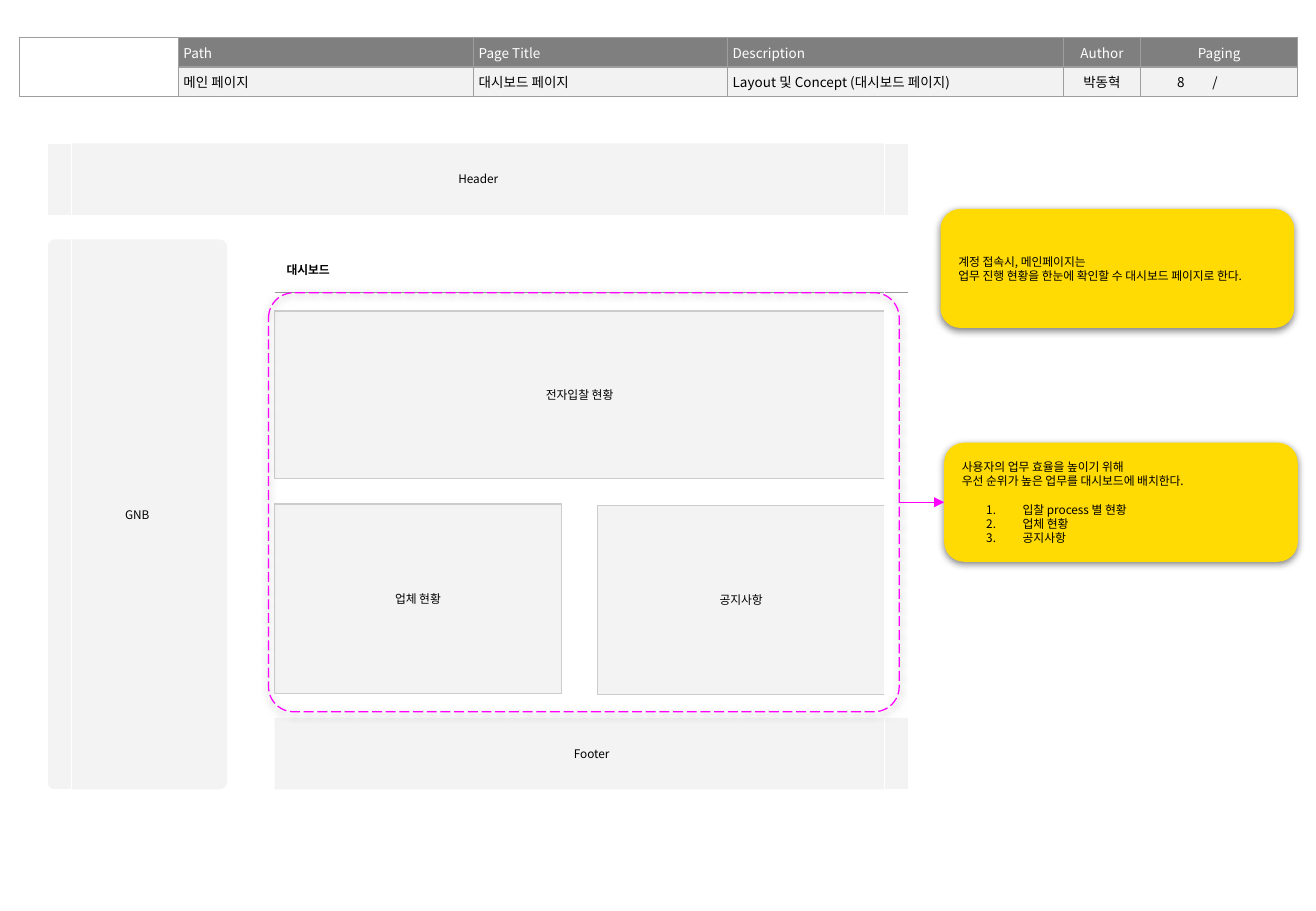
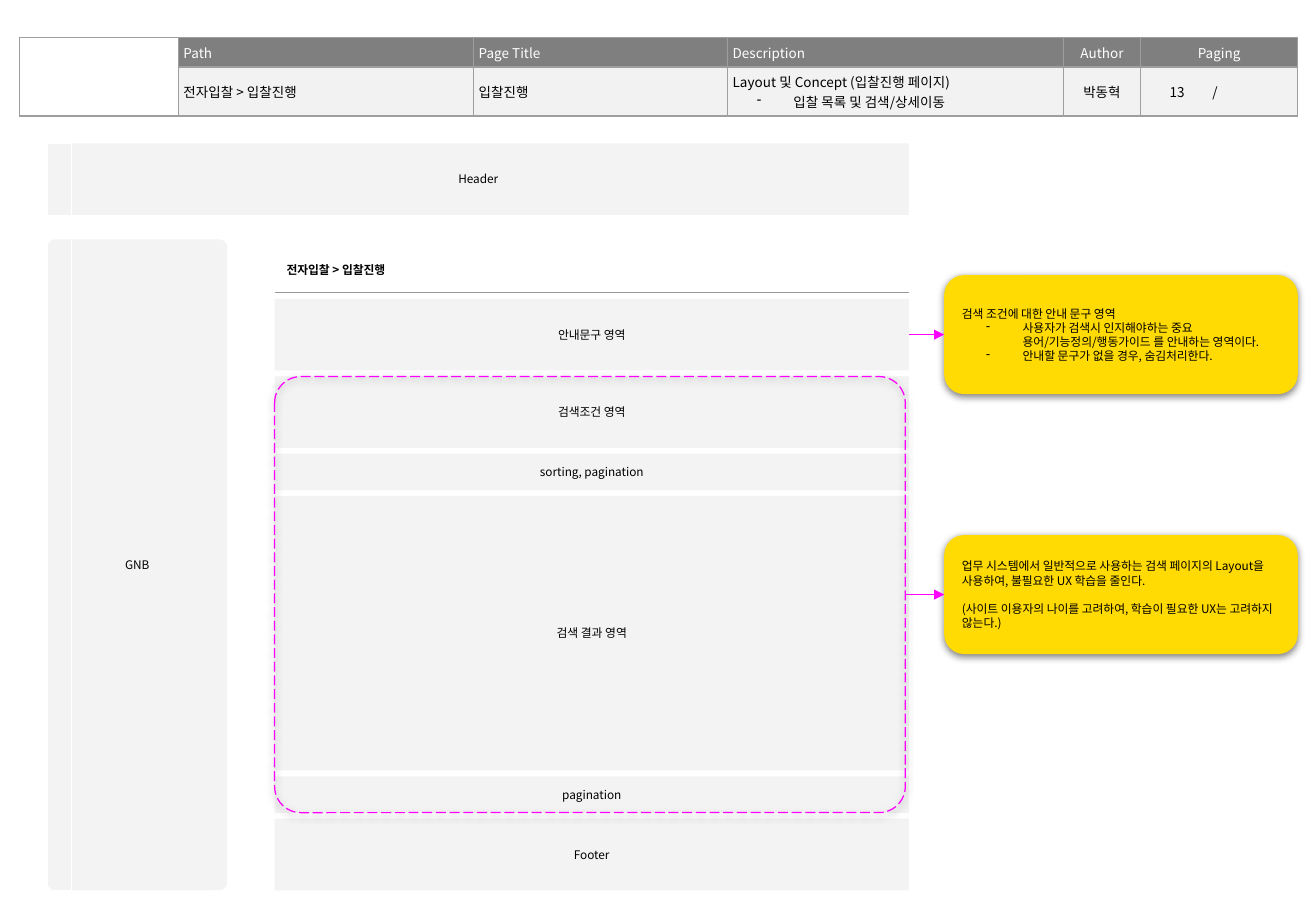
"""Build two wireframe specification slides with a shared page header and annotated layout."""
from dataclasses import dataclass

from lxml.etree import SubElement
from pptx import Presentation
from pptx.dml.color import RGBColor
from pptx.enum.dml import MSO_LINE
from pptx.enum.shapes import MSO_CONNECTOR, MSO_SHAPE
from pptx.enum.text import MSO_ANCHOR, PP_ALIGN
from pptx.oxml.ns import qn
from pptx.util import Inches, Pt


@dataclass(frozen=True)
class Theme:
    font: str = "Noto Sans CJK KR"
    black: str = "000000"
    white: str = "FFFFFF"
    heading: str = "7F7F7F"
    value: str = "F2F2F2"
    border: str = "9E9E9E"
    area: str = "F3F3F3"
    tile_line: str = "CCCCCC"
    rule: str = "999999"
    note: str = "FFDA03"
    accent: str = "FF00FF"
    body_size: float = 7
    table_size: float = 8
    line_width: float = 0.75
    paragraph_gap: float = 8.5


THEME = Theme()

COLUMNS = [1.31, 2.43, 2.09, 2.76, 0.64, 0.4, 0.42, 0.47]
HEADINGS = ["", "Path", "Page Title", "Description", "Author", "Paging", "", ""]
ALIGNS = [PP_ALIGN.LEFT] * 4 + [PP_ALIGN.CENTER, PP_ALIGN.RIGHT, PP_ALIGN.CENTER, PP_ALIGN.LEFT]
PAGING_SIDES = {5: "LTB", 6: "TB", 7: "RTB"}
ROW_HEIGHT = 0.24

LEFT, TOP, RIGHT = 0.39, 1.18, 7.48
CONTENT_LEFT = 2.26
CONTENT_WIDTH = RIGHT - CONTENT_LEFT
BAR_HEIGHT = 0.59
GNB_TOP, GNB_WIDTH = 1.97, 1.48
STRIP_WIDTH = 0.2
RULE_TOP = 2.41
BANDS_TOP = 2.46
NOTE_LEFT, NOTE_WIDTH, NOTE_HEIGHT = 7.77, 2.91, 0.98

PAGES = [
    {
        "values": ["메인 페이지", "대시보드 페이지", ["Layout 및 Concept (대시보드 페이지)"], "박동혁", "8"],
        "value_height": 0.24,
        "title": "대시보드",
        "bottom": 6.5,
        "right_strip": True,
        "tiles": [
            ("전자입찰 현황", 2.26, 2.56, 5.02, 1.38),
            ("업체 현황", 2.26, 4.15, 2.36, 1.56),
            ("공지사항", 4.92, 4.16, 2.36, 1.56),
        ],
        "bands": [],
        "frame": (2.21, 2.41, 5.19, 3.45),
        "free_notes": [
            (7.74, 1.72, ["계정 접속시, 메인페이지는", "업무 진행 현황을 한눈에 확인할 수 대시보드 페이지로 한다."]),
        ],
        "linked_notes": [
            ("frame", [
                "사용자의 업무 효율을 높이기 위해",
                "우선 순위가 높은 업무를 대시보드에 배치한다.",
                ("1.", "입찰 process 별 현황", True),
                ("1.", "업체 현황"),
                ("1.", "공지사항"),
            ]),
        ],
    },
    {
        "values": [
            "전자입찰 > 입찰진행",
            "입찰진행",
            ["Layout 및 Concept (입찰진행 페이지)", ("-", "입찰 목록 및 검색/상세이동")],
            "박동혁",
            "13",
        ],
        "value_height": 0.4,
        "title": "전자입찰 > 입찰진행",
        "bottom": 7.33,
        "right_strip": False,
        "tiles": [],
        "bands": [
            ("안내문구 영역", 0.59),
            ("검색조건 영역", 0.59),
            ("sorting, pagination", 0.3),
            ("검색 결과 영역", 2.26),
            ("pagination", 0.3),
        ],
        "frame": (2.26, 3.1, 5.19, 3.59),
        "free_notes": [],
        "linked_notes": [
            ("안내문구 영역", [
                "검색 조건에 대한 안내 문구 영역",
                ("-", "사용자가 검색시 인지해야하는 중요\v용어/기능정의/행동가이드 를 안내하는 영역이다."),
                ("-", "안내할 문구가 없을 경우, 숨김처리한다."),
            ]),
            ("frame", [
                "업무 시스템에서 일반적으로 사용하는 검색 페이지의 Layout을 사용하여, 불필요한 UX 학습을 줄인다.",
                ("", "(사이트 이용자의 나이를 고려하여, 학습이 필요한 UX는 고려하지 않는다.)", True),
            ]),
        ],
    },
]


def rgb(color):
    return RGBColor.from_string(color)


def add_bullet(paragraph, mark):
    properties = paragraph._p.get_or_add_pPr()
    properties.set("marL", str(Inches(0.5)))
    properties.set("indent", str(Inches(-0.3)))
    color = SubElement(properties, qn("a:buClr"))
    SubElement(color, qn("a:srgbClr"), val=THEME.black)
    if mark == "-":
        SubElement(properties, qn("a:buChar"), char=mark)
    else:
        SubElement(properties, qn("a:buAutoNum"), type="arabicPeriod")


def write(text_frame, lines, size, color=THEME.black, align=PP_ALIGN.LEFT, bold=False):
    """Write lines, each a string or a (mark, text, gap before) tuple."""
    items = [(line if isinstance(line, tuple) else ("", line)) for line in lines]
    text_frame.text = "\n".join(item[1] for item in items)
    for paragraph, (mark, _, *gap) in zip(text_frame.paragraphs, items):
        paragraph.alignment = align
        if mark:
            add_bullet(paragraph, mark)
        if gap:
            paragraph.space_before = Pt(THEME.paragraph_gap)
        for run in paragraph.runs:
            run.font.name = THEME.font
            SubElement(run._r.get_or_add_rPr(), qn("a:ea"), typeface=THEME.font)
            run.font.size = Pt(size)
            run.font.bold = bold
            run.font.color.rgb = rgb(color)
        for line_break in paragraph._p.findall(qn("a:br")):
            SubElement(line_break, qn("a:rPr"), sz=str(int(size * 100)))
        if not paragraph.runs:
            SubElement(paragraph._p, qn("a:endParaRPr"), sz=str(int(size * 100)))


def write_body(shape, lines, **style):
    text_frame = shape.text_frame
    text_frame.word_wrap = True
    text_frame.vertical_anchor = MSO_ANCHOR.MIDDLE
    text_frame.margin_left = text_frame.margin_right = Inches(0.1)
    text_frame.margin_top = text_frame.margin_bottom = Inches(0.1)
    write(text_frame, lines, THEME.body_size, **style)


def add_shadow(shape):
    effects = shape._element.spPr.find(qn("a:effectLst"))
    shadow = SubElement(effects, qn("a:outerShdw"), blurRad=str(Pt(4.5)), dist=str(Pt(1.5)),
                        dir="5400000", algn="ctr", rotWithShape="0")
    color = SubElement(shadow, qn("a:srgbClr"), val=THEME.black)
    SubElement(color, qn("a:alpha"), val="50000")


def add_box(slide, left, top, width, height, lines=(), fill=None, line=None, radius=None, align=PP_ALIGN.CENTER):
    kind = MSO_SHAPE.RECTANGLE if radius is None else MSO_SHAPE.ROUNDED_RECTANGLE
    shape = slide.shapes.add_shape(kind, Inches(left), Inches(top), Inches(width), Inches(height))
    shape.shadow.inherit = False
    if radius is not None:
        shape.adjustments[0] = radius
    if fill:
        shape.fill.solid()
        shape.fill.fore_color.rgb = rgb(fill)
    else:
        shape.fill.background()
    if line:
        shape.line.color.rgb = rgb(line)
        shape.line.width = Pt(THEME.line_width)
    else:
        shape.line.fill.background()
    if lines:
        write_body(shape, lines, align=align)
    return shape


def add_line(slide, start, end, color):
    points = [Inches(value) for value in (*start, *end)]
    connector = slide.shapes.add_connector(MSO_CONNECTOR.STRAIGHT, *points)
    connector.line.color.rgb = rgb(color)
    connector.line.width = Pt(THEME.line_width)
    SubElement(connector._element.spPr, qn("a:effectLst"))
    return connector


def add_arrow(slide, source, target):
    arrow = add_line(slide, (0, 0), (1, 0), THEME.accent)
    arrow.begin_connect(source, 3)
    arrow.end_connect(target, 1)
    SubElement(arrow.line._get_or_add_ln(), qn("a:tailEnd"), type="triangle")


def set_borders(cell, sides):
    properties = cell._tc.get_or_add_tcPr()
    for index, side in enumerate("LRTB"):
        line = properties.makeelement(qn(f"a:ln{side}"), {"w": str(Pt(THEME.line_width))})
        properties.insert(index, line)
        if side in sides:
            fill = SubElement(line, qn("a:solidFill"))
            SubElement(fill, qn("a:srgbClr"), val=THEME.border)
        else:
            SubElement(line, qn("a:noFill"))


def add_page_table(slide, page):
    heights = [ROW_HEIGHT, page["value_height"]]
    frame = slide.shapes.add_table(2, len(COLUMNS), Inches(0.16), Inches(0.31),
                                   Inches(sum(COLUMNS)), Inches(sum(heights)))
    table = frame.table
    table.first_row = table.horz_banding = False
    for column, width in zip(table.columns, COLUMNS):
        column.width = Inches(width)
    for row, height in zip(table.rows, heights):
        row.height = Inches(height)
    rows = [(HEADINGS, THEME.heading, THEME.white), (["", *page["values"], "/", ""], THEME.value, THEME.black)]
    for row_index, (texts, fill, color) in enumerate(rows):
        for column, text in enumerate(texts):
            cell = table.cell(row_index, column)
            cell.vertical_anchor = MSO_ANCHOR.MIDDLE
            cell.margin_top = cell.margin_bottom = Inches(0.04)
            cell.margin_left = cell.margin_right = Inches(0.02 if text == "/" else 0.04)
            align = PP_ALIGN.CENTER if text == "Paging" else ALIGNS[column]
            write(cell.text_frame, text if isinstance(text, list) else [text], THEME.table_size, color, align)
            if column:
                cell.fill.solid()
                cell.fill.fore_color.rgb = rgb(fill)
            else:
                cell.fill.background()
            set_borders(cell, PAGING_SIDES.get(column, "LRTB") if row_index else "LRTB")
    table.cell(0, 0).merge(table.cell(1, 0))
    table.cell(0, 5).merge(table.cell(0, 7))


def add_note(slide, left, top, lines):
    note = add_box(slide, left, top, NOTE_WIDTH, NOTE_HEIGHT, lines, THEME.note, radius=0.167, align=PP_ALIGN.LEFT)
    add_shadow(note)
    return note


def build_page(slide, page):
    bottom = page["bottom"]
    footer_top = bottom - BAR_HEIGHT
    add_page_table(slide, page)
    add_box(slide, LEFT, TOP, RIGHT - LEFT, BAR_HEIGHT, ["Header"], THEME.area)
    add_box(slide, LEFT, GNB_TOP, GNB_WIDTH, bottom - GNB_TOP, ["GNB"], THEME.area, radius=0.044)
    title = slide.shapes.add_textbox(Inches(CONTENT_LEFT), Inches(2.07), Inches(1.28), Inches(0.3))
    write_body(title, [page["title"]], bold=True)
    add_line(slide, (CONTENT_LEFT, RULE_TOP), (RIGHT, RULE_TOP), THEME.rule)

    targets = {}
    for label, *place in page["tiles"]:
        add_box(slide, *place, [label], THEME.area, THEME.tile_line)
    bands = page["bands"]
    gap = (footer_top - BANDS_TOP - sum(height for _, height in bands)) / max(len(bands), 1)
    top = BANDS_TOP
    for label, height in bands:
        targets[label] = add_box(slide, CONTENT_LEFT, top, CONTENT_WIDTH, height, [label], THEME.area)
        top += height + gap
    add_box(slide, CONTENT_LEFT, footer_top, CONTENT_WIDTH, BAR_HEIGHT, ["Footer"], THEME.area)

    for left in [LEFT, RIGHT - STRIP_WIDTH][:1 + page["right_strip"]]:
        add_box(slide, left, TOP, STRIP_WIDTH, bottom - TOP, line=THEME.white)
    frame = targets["frame"] = add_box(slide, *page["frame"], line=THEME.accent, radius=0.06)
    frame.line.dash_style = MSO_LINE.LONG_DASH
    add_shadow(frame)
    for left, top, lines in page["free_notes"]:
        add_note(slide, left, top, lines)
    for name, lines in page["linked_notes"]:
        source = targets[name]
        middle = (source.top + source.height / 2) / Inches(1)
        add_arrow(slide, source, add_note(slide, NOTE_LEFT, middle - NOTE_HEIGHT / 2, lines))


def main():
    presentation = Presentation()
    presentation.slide_width, presentation.slide_height = Inches(10.83), Inches(7.5)
    for page in PAGES:
        build_page(presentation.slides.add_slide(presentation.slide_layouts[6]), page)
    presentation.save("out.pptx")


if __name__ == "__main__":
    main()
